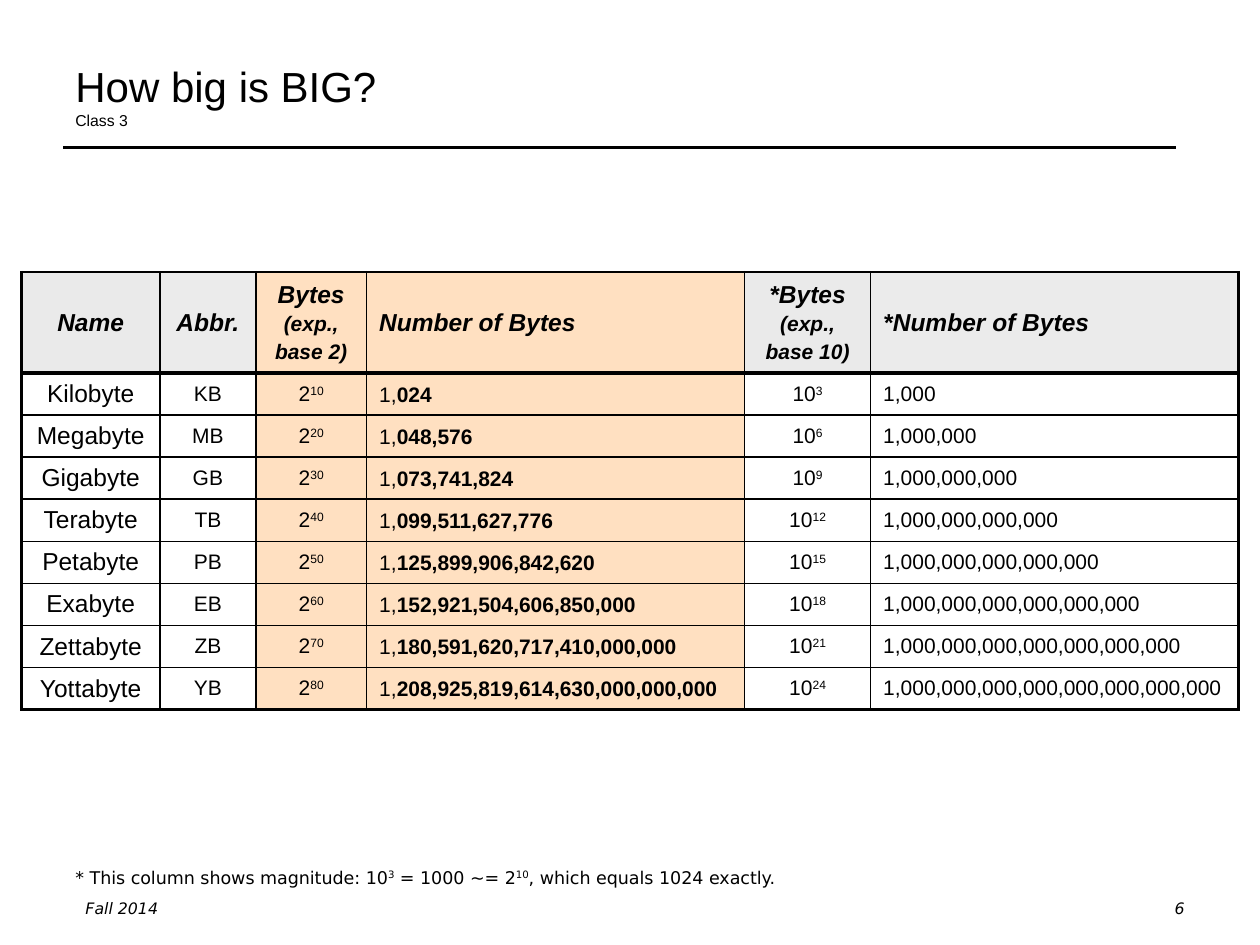
from lxml.etree import SubElement
from pptx import Presentation
from pptx.dml.color import RGBColor
from pptx.enum.shapes import MSO_CONNECTOR
from pptx.enum.text import MSO_ANCHOR, PP_ALIGN
from pptx.oxml.ns import qn
from pptx.util import Inches, Pt

BLACK = RGBColor(0x00, 0x00, 0x00)
WHITE = RGBColor(0xFF, 0xFF, 0xFF)
LIGHT = RGBColor(0xEA, 0xEA, 0xEA)
GRAY = RGBColor(0xBF, 0xBF, 0xBF)
ORANGE = RGBColor(0xFF, 0x99, 0x33)


def add_run(p, text, size, font="Arial", bold=False, italic=False, sup=False):
    r = p.add_run()
    r.text = text
    r.font.name = font
    r.font.size = Pt(size)
    r.font.bold = bold
    r.font.italic = italic
    r.font.color.rgb = BLACK
    if sup:
        r.font._element.set("baseline", "30000")


def space_before(p, percent):
    spc = SubElement(p._p.get_or_add_pPr(), qn("a:spcBef"))
    SubElement(spc, qn("a:spcPct")).set("val", str(percent * 1000))


prs = Presentation()
prs.slide_width = Inches(10)
prs.slide_height = Inches(7.5)
s = prs.slides.add_slide(prs.slide_layouts[6])

rule = s.shapes.add_connector(MSO_CONNECTOR.STRAIGHT, Inches(0.5), Inches(1.17), Inches(9.33), Inches(1.17))
rule.line.color.rgb = BLACK
rule.line.width = Pt(1.5)
SubElement(rule._element.spPr, qn("a:effectLst"))

for text, left, width, align in [
    ("Fall 2014", 0.58, 2.25, PP_ALIGN.LEFT),
    ("6", 7.17, 2.33, PP_ALIGN.RIGHT),
]:
    tf = s.shapes.add_textbox(Inches(left), Inches(7.08), Inches(width), Inches(0.25)).text_frame
    tf.word_wrap = True
    p = tf.paragraphs[0]
    p.alignment = align
    add_run(p, text, 9, "DejaVu Sans", italic=True)

tf = s.shapes.add_textbox(Inches(0.5), Inches(0.3), Inches(9), Inches(0.78)).text_frame
tf.word_wrap = True
tf.vertical_anchor = MSO_ANCHOR.BOTTOM
p = tf.paragraphs[0]
add_run(p, "How big is BIG?", 24)
p.add_line_break()
add_run(p, "Class 3", 9)

headers = [
    ["Name"],
    ["Abbr."],
    ["Bytes", "(exp.,", "base 2)"],
    ["Number of Bytes"],
    ["*Bytes", "(exp.,", "base 10)"],
    ["*Number of Bytes"],
]
units = [
    ("Kilobyte", "KB", "024"),
    ("Megabyte", "MB", "048,576"),
    ("Gigabyte", "GB", "073,741,824"),
    ("Terabyte", "TB", "099,511,627,776"),
    ("Petabyte", "PB", "125,899,906,842,620"),
    ("Exabyte", "EB", "152,921,504,606,850,000"),
    ("Zettabyte", "ZB", "180,591,620,717,410,000,000"),
    ("Yottabyte", "YB", "208,925,819,614,630,000,000,000"),
]
col_widths = [1.1, 0.76, 0.88, 3, 1, 2.92]
row_heights = [0.61] + [0.33] * len(units)
header_fills = [LIGHT, GRAY, ORANGE, ORANGE, LIGHT, GRAY]
body_fills = [None, WHITE, ORANGE, ORANGE, None, WHITE]
left_columns = (3, 5)
last_row, last_col = len(units), len(headers) - 1

table = s.shapes.add_table(
    len(row_heights), len(col_widths), Inches(0.17), Inches(2.16),
    Inches(sum(col_widths)), Inches(sum(row_heights)),
).table
table.horz_banding = False
for column, width in zip(table.columns, col_widths):
    column.width = Inches(width)
for row, height in zip(table.rows, row_heights):
    row.height = Inches(height)

for i in range(last_row + 1):
    if i == 0:
        contents = [[[(line, 12 if n else 14, True, False)] for n, line in enumerate(lines)] for lines in headers]
    else:
        name, abbr, digits = units[i - 1]
        contents = [
            [[(name, 14, False, False)]],
            [[(abbr, 12, False, False)]],
            [[("2", 12, False, False), (str(10 * i), 12, False, True)]],
            [[("1,", 12, False, False), (digits, 12, True, False)]],
            [[("10", 12, False, False), (str(3 * i), 12, False, True)]],
            [[(f"{1000 ** i:,}", 12, False, False)]],
        ]
    for j, paragraphs in enumerate(contents):
        cell = table.cell(i, j)
        cell.vertical_anchor = MSO_ANCHOR.MIDDLE
        tight = i > 0 and j == 3
        cell.margin_left = Inches(0.1)
        cell.margin_right = Inches(0.01 if tight else 0.1)
        cell.margin_top = Inches(0.01 if tight else 0.05)
        cell.margin_bottom = Inches(0 if tight else 0.05)
        tf = cell.text_frame
        for n, runs in enumerate(paragraphs):
            p = tf.add_paragraph() if n else tf.paragraphs[0]
            p.alignment = PP_ALIGN.LEFT if j in left_columns else PP_ALIGN.CENTER
            if not tight:
                space_before(p, 20)
            for text, size, bold, sup in runs:
                add_run(p, text, size, bold=bold, italic=i == 0, sup=sup)

        borders = {
            "a:lnL": 1.5 if j == 0 else 1,
            "a:lnR": 1.5 if j == last_col else 1,
            "a:lnT": {0: 1.5, 1: 2.25}.get(i, 1),
            "a:lnB": {0: 2.25, last_row: 1.5}.get(i, 1),
        }
        tcPr = cell._tc.get_or_add_tcPr()
        for tag, width in borders.items():
            ln = SubElement(tcPr, qn(tag))
            ln.set("w", str(Pt(width)))
            SubElement(SubElement(ln, qn("a:solidFill")), qn("a:srgbClr")).set("val", str(BLACK))

        color = body_fills[j] if i else header_fills[j]
        if color is None:
            cell.fill.background()
        else:
            cell.fill.solid()
            cell.fill.fore_color.rgb = color
            if color != LIGHT:
                clr = tcPr.find(qn("a:solidFill")).find(qn("a:srgbClr"))
                SubElement(clr, qn("a:alpha")).set("val", "30000")

tf = s.shapes.add_textbox(Inches(0.5), Inches(6.83), Inches(9), Inches(0.27)).text_frame
tf.word_wrap = True
p = tf.paragraphs[0]
space_before(p, 50)
for text, sup in [
    ("* This column shows magnitude: 10", False),
    ("3", True),
    (" = 1000 ~= 2", False),
    ("10", True),
    (", which equals 1024 exactly.", False),
]:
    add_run(p, text, 10, "DejaVu Sans", sup=sup)

prs.save("out.pptx")
